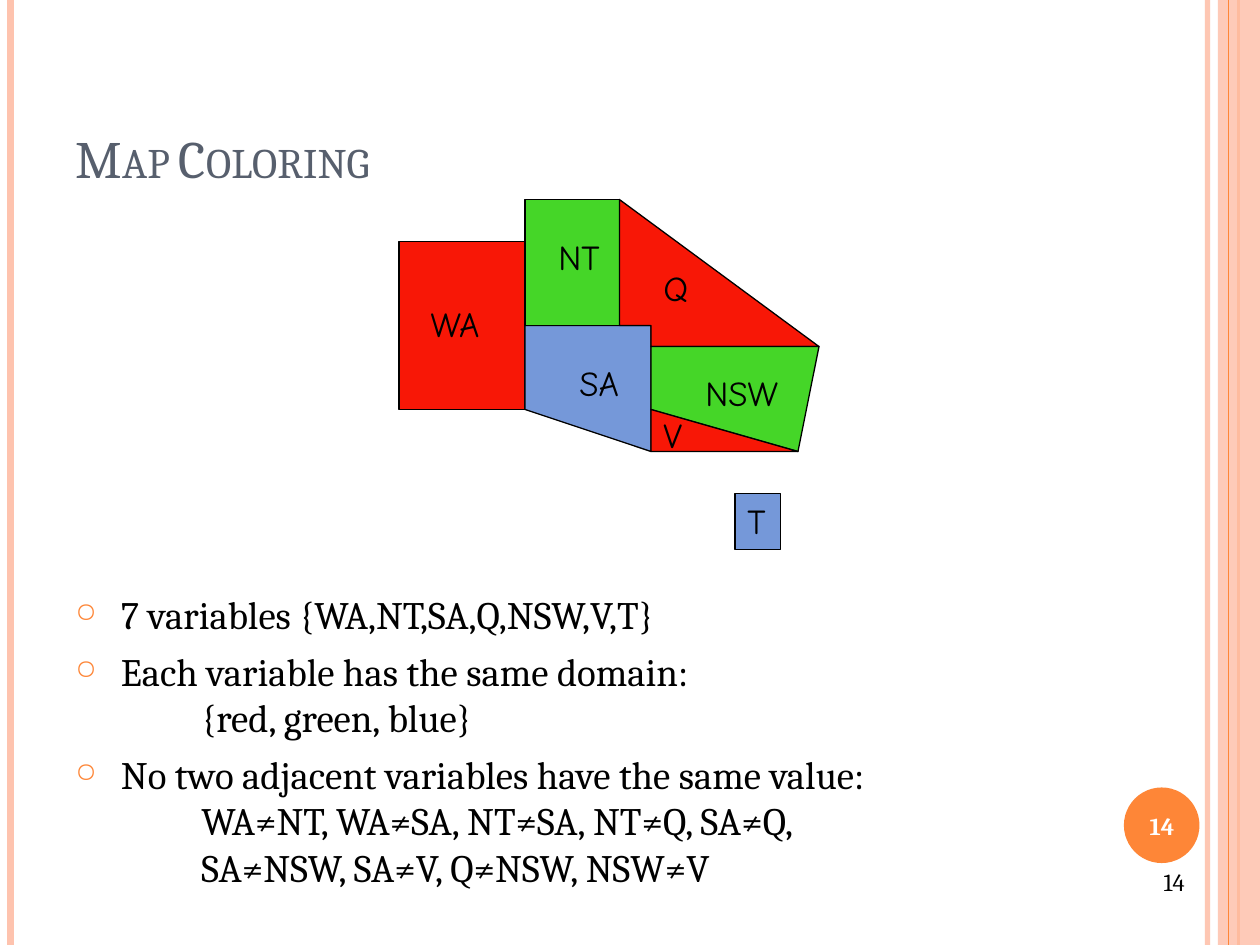
from dataclasses import dataclass
from typing import Any

from lxml import etree
from pptx import Presentation
from pptx.dml.color import RGBColor
from pptx.enum.shapes import MSO_CONNECTOR, MSO_SHAPE
from pptx.enum.text import MSO_ANCHOR, MSO_AUTO_SIZE, PP_ALIGN
from pptx.oxml.ns import qn
from pptx.util import Pt

STRAIGHT = MSO_CONNECTOR.STRAIGHT
RECTANGLE, OVAL = MSO_SHAPE.RECTANGLE, MSO_SHAPE.OVAL
TOP, MIDDLE, BOTTOM = MSO_ANCHOR.TOP, MSO_ANCHOR.MIDDLE, MSO_ANCHOR.BOTTOM
LEFT, CENTER, RIGHT = PP_ALIGN.LEFT, PP_ALIGN.CENTER, PP_ALIGN.RIGHT
NO_AUTOFIT = MSO_AUTO_SIZE.NONE

SLIDE_WIDTH, SLIDE_HEIGHT = 720, 540
Point = tuple[float, float]
Box = tuple[float, float, float, float]


@dataclass(frozen=True)
class Theme:
    serif: str = "Cambria"
    hand: str = "Comic Neue"
    title_size: float = 30
    body_size: float = 22.2
    label_size: float = 20
    number_size: float = 14
    body_leading: float = 26.5
    slate: str = "575F6D"
    orange: str = "FE8637"
    peach: str = "FEC3AE"
    black: str = "000000"
    white: str = "FFFFFF"
    red: str = "F81706"
    green: str = "45D628"
    blue: str = "7598D9"


THEME = Theme()
TITLE = {"name": THEME.serif, "size": Pt(THEME.title_size), "color": THEME.slate}
BODY = {"name": THEME.serif, "size": Pt(THEME.body_size), "color": THEME.black}
LABEL = {"name": THEME.hand, "size": Pt(THEME.label_size), "color": THEME.black}
NUMBER = {"name": THEME.serif, "size": Pt(THEME.number_size), "color": THEME.black}
BADGE = {**NUMBER, "color": THEME.white, "bold": True}


@dataclass(frozen=True)
class Stripe:
    x: float
    color: str
    weight: float
    opacity: int = 100


@dataclass(frozen=True)
class Region:
    """A map region; an outline of two points gives opposite corners of a rectangle."""
    name: str
    color: str
    outline: tuple[Point, ...]
    label_at: Point


STRIPES = (
    Stripe(690, THEME.peach, 3, 93),
    Stripe(6, THEME.peach, 4.5),
    Stripe(707.75, THEME.orange, 1.5),
)
BAND_STRIPE = Stripe(702, THEME.orange, 0.75)

REGIONS = (
    Region("WA", THEME.red, ((228, 138), (300, 234)), (239, 169.5)),
    Region("SA", THEME.blue, ((300, 186), (372, 186), (372, 258), (300, 234)), (324, 203)),
    Region("NT", THEME.green, ((300, 114), (354, 186)), (312, 131)),
    Region("Q", THEME.red,
           ((354, 114), (468, 198), (372, 198), (372, 186), (354, 186)), (372, 149)),
    Region("NSW", THEME.green, ((372, 198), (372, 234), (456, 258), (468, 198)), (396, 209)),
    Region("V", THEME.red, ((372, 234), (372, 258), (456, 258)), (372, 232.5)),
    Region("T", THEME.blue, ((420, 282), (446, 314)), (420, 282)),
)

STATEMENTS = (
    "7 variables {WA,NT,SA,Q,NSW,V,T}",
    "Each variable has the same domain:\v\t{red, green, blue}",
    "No two adjacent variables have the same value:"
    "\v\tWA≠NT, WA≠SA, NT≠SA, NT≠Q, SA≠Q,"
    "\v\tSA≠NSW, SA≠V, Q≠NSW, NSW≠V",
)


def place(shape: Any, box: Box) -> None:
    for side, length in zip(("left", "top", "width", "height"), box):
        setattr(shape, side, Pt(length))


def format_font(font: Any, values: dict[str, Any]) -> None:
    for key, value in values.items():
        if key == "color":
            font.color.rgb = RGBColor.from_string(value)
        else:
            setattr(font, key, value)


def fade(element: Any, percent: int) -> None:
    """Make the first colour inside the element partly transparent."""
    color = next(element.iter(qn("a:srgbClr")))
    etree.SubElement(color, qn("a:alpha")).set("val", str(percent * 1000))


def paint(shape: Any, color: str, outlined: bool = False) -> None:
    shape.shadow.inherit = False
    shape.fill.solid()
    shape.fill.fore_color.rgb = RGBColor.from_string(color)
    if outlined:
        shape.line.color.rgb = RGBColor.from_string(THEME.black)
        shape.line.width = Pt(0.75)
    else:
        shape.line.fill.background()


def draw_stripe(slide: Any, stripe: Stripe) -> None:
    line = slide.shapes.add_connector(
        STRAIGHT, Pt(stripe.x), 0, Pt(stripe.x), Pt(SLIDE_HEIGHT))
    line.line.color.rgb = RGBColor.from_string(stripe.color)
    line.line.width = Pt(stripe.weight)
    properties = line._element.spPr
    if stripe.opacity < 100:
        fade(properties, stripe.opacity)
    etree.SubElement(properties, qn("a:effectLst"))


def draw_preset(slide: Any, preset: Any, box: Box, color: str, outlined: bool = False) -> Any:
    shape = slide.shapes.add_shape(preset, *map(Pt, box))
    paint(shape, color, outlined)
    return shape


def draw_region(slide: Any, region: Region) -> None:
    start, *others = region.outline
    if len(others) == 1:
        (left, top), (right, bottom) = region.outline
        draw_preset(slide, RECTANGLE, (left, top, right - left, bottom - top),
                    region.color, outlined=True)
        return
    builder = slide.shapes.build_freeform(Pt(start[0]), Pt(start[1]))
    builder.add_line_segments([(Pt(x), Pt(y)) for x, y in others], close=True)
    paint(builder.convert_to_shape(), region.color, outlined=True)


def add_text(slide: Any, text: str, box: Box, font: dict[str, Any],
             align: Any = LEFT, anchor: Any = TOP) -> None:
    frame = slide.shapes.add_textbox(*map(Pt, box)).text_frame
    frame.word_wrap, frame.vertical_anchor = True, anchor
    paragraph = frame.paragraphs[0]
    paragraph.text, paragraph.alignment = text, align
    format_font(paragraph.runs[0].font, font)


def write_title(slide: Any, text: str) -> None:
    title = slide.shapes.title
    place(title, (36, 21.6, 588, 90))
    frame = title.text_frame
    frame.text = text
    frame.vertical_anchor, frame.auto_size = BOTTOM, NO_AUTOFIT
    paragraph = frame.paragraphs[0]
    paragraph.alignment = LEFT
    font = paragraph.runs[0].font
    format_font(font, TITLE)
    font._element.set("cap", "small")


def add_bullet(paragraph: Any, indent: float, tab: float) -> None:
    properties = paragraph._p.get_or_add_pPr()
    for key, length in {"marL": indent, "indent": -indent, "defTabSz": tab}.items():
        properties.set(key, str(Pt(length)))
    color = etree.SubElement(properties, qn("a:buClr"))
    etree.SubElement(color, qn("a:srgbClr")).set("val", THEME.orange)
    etree.SubElement(properties, qn("a:buSzPct")).set("val", "70000")
    etree.SubElement(properties, qn("a:buChar")).set("char", "○")


def write_statements(slide: Any) -> None:
    frame = slide.shapes.add_textbox(*map(Pt, (36, 334, 588, 176))).text_frame
    frame.word_wrap = True
    for index, statement in enumerate(STATEMENTS):
        paragraph = frame.add_paragraph() if index else frame.paragraphs[0]
        paragraph.text = statement
        paragraph.space_before = Pt(6)
        paragraph.line_spacing = Pt(THEME.body_leading)
        add_bullet(paragraph, indent=26, tab=72)
        for run in paragraph.runs:
            format_font(run.font, BODY)


def main() -> None:
    deck = Presentation()
    deck.slide_width, deck.slide_height = Pt(SLIDE_WIDTH), Pt(SLIDE_HEIGHT)
    slide = deck.slides.add_slide(deck.slide_layouts[5])
    for stripe in STRIPES:
        draw_stripe(slide, stripe)
    band = draw_preset(slide, RECTANGLE, (696, 0, 24, SLIDE_HEIGHT), THEME.peach)
    fade(band._element.spPr, 87)
    draw_stripe(slide, BAND_STRIPE)
    draw_preset(slide, OVAL, (642.25, 450, 43.2, 43.2), THEME.orange)
    write_title(slide, "Map Coloring")
    write_statements(slide)
    add_text(slide, "14", (640, 451.5, 48, 41), BADGE, CENTER, MIDDLE)
    for region in REGIONS:
        draw_region(slide, region)
    for region in REGIONS:
        add_text(slide, region.name, (*region.label_at, 66, 31), LABEL)
    add_text(slide, "14", (516, 492, 168, 37.5), NUMBER, RIGHT)
    deck.save("out.pptx")


if __name__ == "__main__":
    main()
